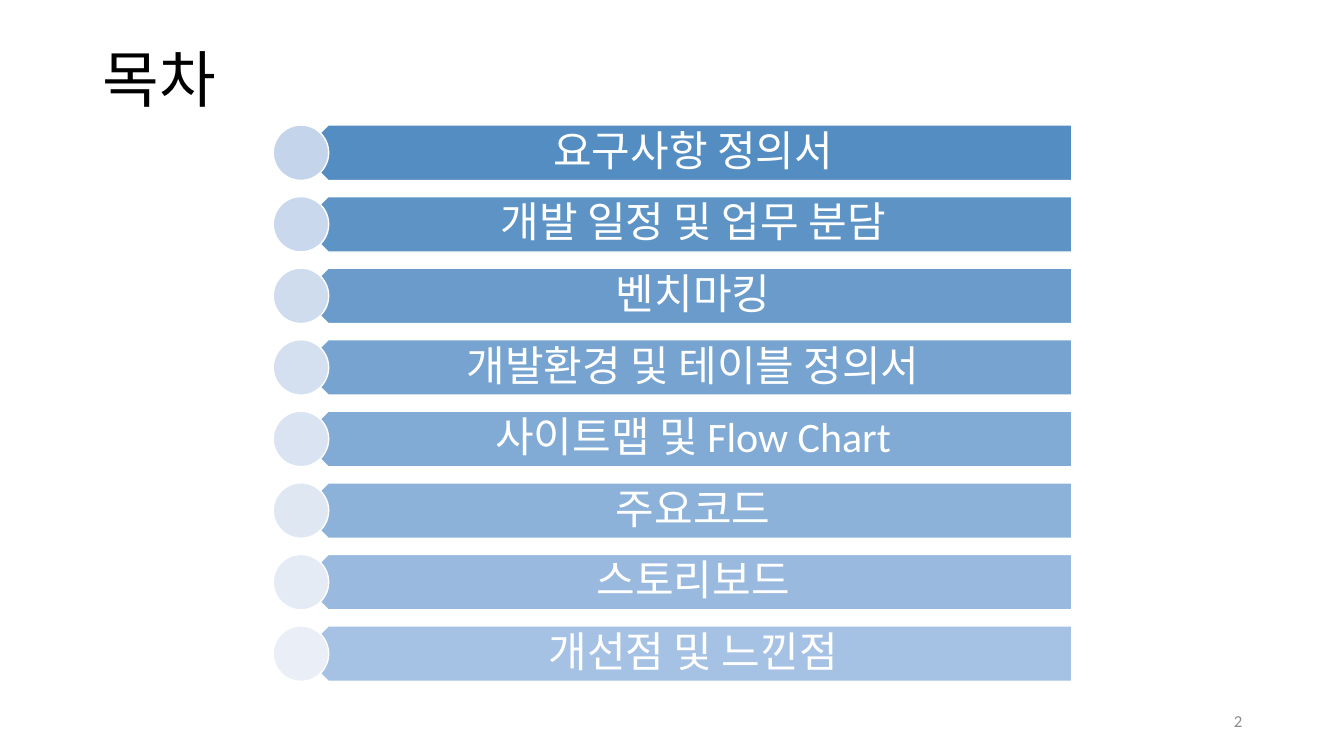
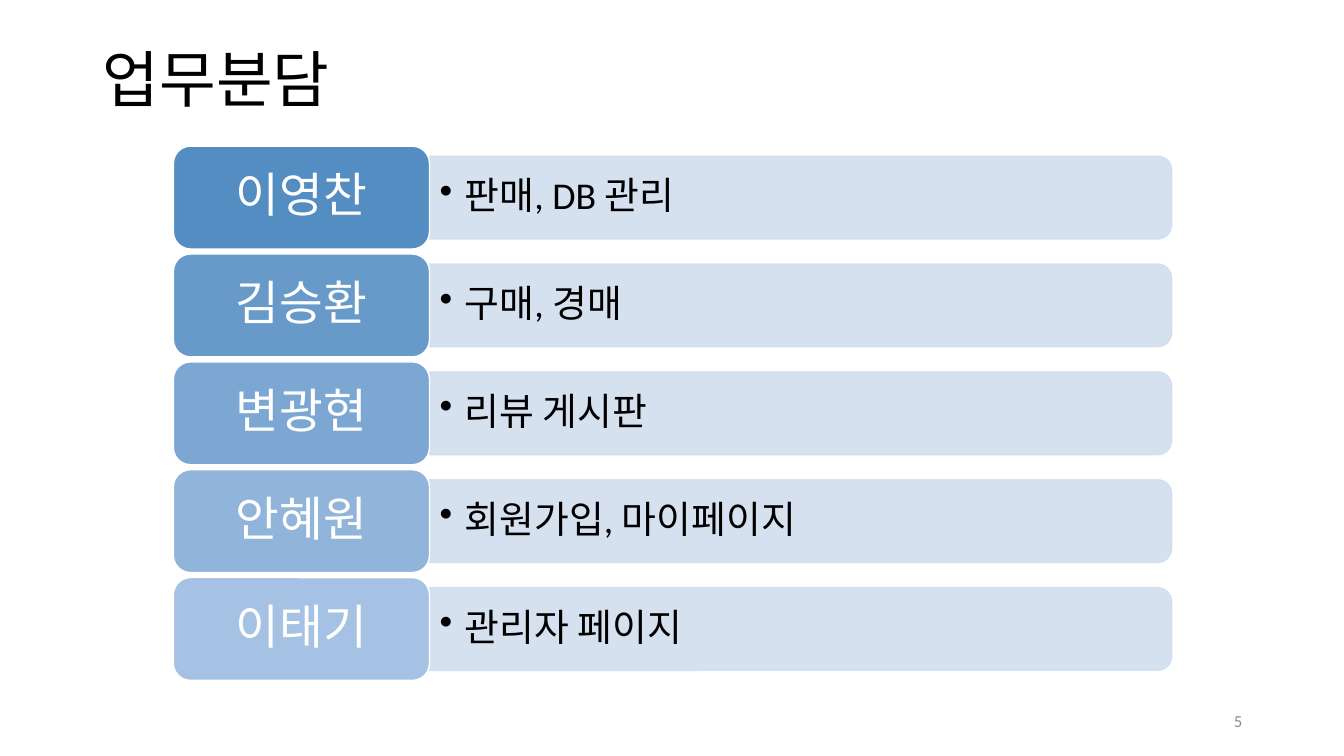
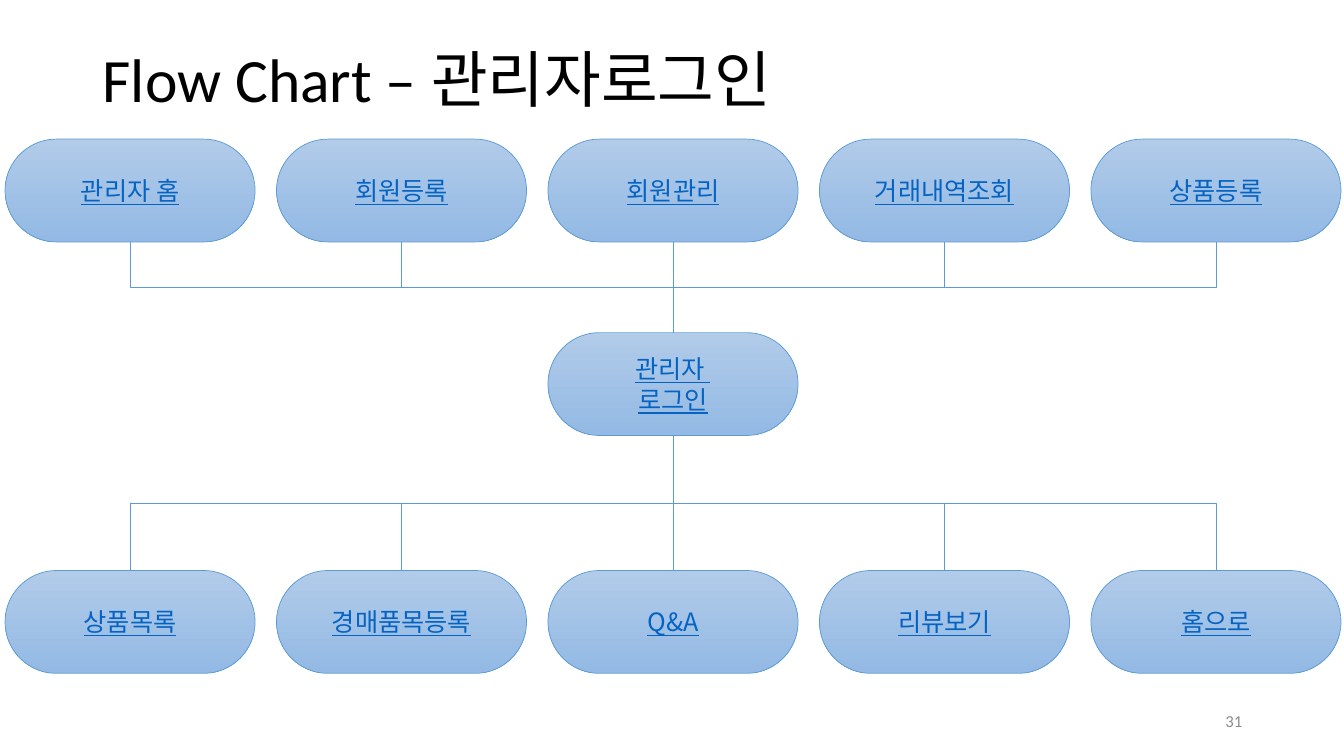
from dataclasses import dataclass

from lxml.etree import SubElement
from pptx import Presentation
from pptx.dml.color import RGBColor
from pptx.enum.shapes import MSO_CONNECTOR as CONN, MSO_SHAPE as SHAPE
from pptx.enum.text import MSO_ANCHOR as ANCHOR, PP_ALIGN as ALIGN
from pptx.oxml.ns import qn
from pptx.util import Inches, Pt


@dataclass(frozen=True)
class Theme:
    latin: str = "Calibri"
    korean: str = "Noto Sans CJK KR"
    black: str = "000000"
    white: str = "FFFFFF"
    gray: str = "8C8C8C"
    accent_range: tuple = ("538DC1", "A5C1E3")
    dot_range: tuple = ("C4D5EB", "EAEFF7")
    pale: str = "D2DEEF"
    node_range: tuple = ("B1CBE9", "93B9E4")
    node_line: str = "5B9BD5"
    link: str = "0563C1"
    title_size: int = 44
    name_size: int = 34
    item_size: int = 30
    task_size: int = 27
    node_size: int = 18
    number_size: int = 12


def shades(ends, count):
    first, last = (RGBColor.from_string(c) for c in ends)
    return [
        str(RGBColor(*(int(a + (b - a) * i / (count - 1)) for a, b in zip(first, last))))
        for i in range(count)
    ]


class Deck:
    def __init__(self, theme):
        self.theme = theme
        self.prs = Presentation()
        self.prs.slide_width, self.prs.slide_height = Inches(13.33), Inches(7.5)
        self.s = None

    def slide(self, title, number):
        t = self.theme
        self.s = self.prs.slides.add_slide(self.prs.slide_layouts[6])
        self.text((0.92, 0.4, 11.5, 0.84), title, t.title_size, t.black, spacing=0.9)
        self.text((9.42, 6.95, 3, 0.4), str(number), t.number_size, t.gray, ALIGN.RIGHT)

    def label(self, sp, text, size, color, align=ALIGN.LEFT, spacing=None,
              insets=(0.1, 0.05), font=None, underline=None, bullet=False):
        tf = sp.text_frame
        tf.word_wrap = True
        tf.vertical_anchor = ANCHOR.MIDDLE
        tf.margin_left = tf.margin_right = Inches(insets[0])
        tf.margin_top = tf.margin_bottom = Inches(insets[1])
        tf.text = text
        for p in tf.paragraphs:
            p.alignment = align
            p.line_spacing = spacing
            if bullet:
                pPr = p._p.get_or_add_pPr()
                pPr.set("marL", str(Inches(0.25)))
                pPr.set("indent", str(-Inches(0.25)))
                SubElement(pPr, qn("a:buChar")).set("char", "•")
            for r in p.runs:
                r.font.size = Pt(size)
                r.font.name = font or self.theme.latin
                r.font.underline = underline
                r.font.color.rgb = RGBColor.from_string(color)
                ea = SubElement(r._r.rPr, qn("a:ea"))
                ea.set("typeface", self.theme.korean)

    def text(self, box, text, size, color, align=ALIGN.LEFT, **style):
        sp = self.s.shapes.add_textbox(*map(Inches, box))
        self.label(sp, text, size, color, align, **style)

    def shape(self, kind, box, fill, line, weight=1, rotation=0, alpha=None):
        sp = self.s.shapes.add_shape(kind, *map(Inches, box))
        sp.shadow.inherit = False
        sp.rotation = rotation
        if isinstance(fill, tuple):
            sp.fill.gradient()
            sp.fill.gradient_angle = 270
            for stop, color in zip(sp.fill.gradient_stops, fill):
                stop.color.rgb = RGBColor.from_string(color)
        else:
            sp.fill.solid()
            sp.fill.fore_color.rgb = RGBColor.from_string(fill)
        sp.line.color.rgb = RGBColor.from_string(line)
        sp.line.width = Pt(weight)
        if alpha:
            for clr in sp._element.spPr.iter(qn("a:srgbClr")):
                SubElement(clr, qn("a:alpha")).set("val", str(alpha * 1000))
        return sp

    def node(self, left, top, text):
        t = self.theme
        sp = self.shape(SHAPE.ROUNDED_RECTANGLE, (left, top, 2.48, 1.02),
                        t.node_range, t.node_line, 0.5)
        sp.adjustments[0] = 0.5
        self.label(sp, text, t.node_size, t.link, ALIGN.CENTER,
                   font=t.korean, underline=True)
        return sp

    def link(self, upper, lower):
        x1, y1 = upper.left + upper.width // 2, upper.top + upper.height
        x2, y2 = lower.left + lower.width // 2, lower.top
        straight = abs(x2 - x1) < Inches(0.02)
        kind = CONN.STRAIGHT if straight else CONN.ELBOW
        cx = self.s.shapes.add_connector(kind, x1, y1, x2, y2)
        cx.begin_connect(upper, 2)
        cx.end_connect(lower, 0)
        spPr = cx._element.spPr
        if not straight:
            run, drop = abs(x2 - x1), y2 - y1
            xfrm = spPr.find(qn("a:xfrm"))
            xfrm.attrib.clear()
            xfrm.set("rot", str(90 * 60000))
            if x2 > x1:
                xfrm.set("flipV", "1")
            cx.left, cx.top = (x1 + x2 - drop) // 2, (y1 + y2 - run) // 2
            cx.width, cx.height = drop, run
        cx.line.color.rgb = RGBColor.from_string(self.theme.node_line)
        cx.line.width = Pt(0.5)
        SubElement(spPr, qn("a:effectLst"))


def contents(deck):
    t = deck.theme
    deck.slide("목차", 2)
    items = ["요구사항 정의서", "개발 일정 및 업무 분담", "벤치마킹",
             "개발환경 및 테이블 정의서", "사이트맵 및 Flow Chart",
             "주요코드", "스토리보드", "개선점 및 느낀점"]
    bars, dots = (shades(ends, len(items)) for ends in (t.accent_range, t.dot_range))
    for i, (item, bar, dot) in enumerate(zip(items, bars, dots)):
        top = 1.24 + 0.71 * i
        deck.shape(SHAPE.PENTAGON, (2.98, top, 7.65, 0.55), bar, t.white, rotation=180)
        deck.text((3.12, top, 7.51, 0.55), item, t.item_size, t.white,
                  ALIGN.CENTER, spacing=0.9, insets=(0.24, 0.12))
        deck.shape(SHAPE.OVAL, (2.71, top, 0.55, 0.55), dot, t.white)


def duties(deck):
    t = deck.theme
    deck.slide("업무분담", 5)
    tasks = [("이영찬", "판매, DB 관리"), ("김승환", "구매, 경매"),
             ("변광현", "리뷰 게시판"), ("안혜원", "회원가입, 마이페이지"),
             ("이태기", "관리자 페이지")]
    colors = shades(t.accent_range, len(tasks))
    for i, ((name, task), color) in enumerate(zip(tasks, colors)):
        top = 1.45 + 1.07 * i
        deck.shape(SHAPE.ROUND_2_SAME_RECTANGLE, (7.53, top - 3.17, 0.82, 7.36),
                   t.pale, t.pale, rotation=90, alpha=90)
        deck.text((4.25, top + 0.14, 7.32, 0.74), task, t.task_size, t.black,
                  spacing=0.9, insets=(0.11, 0.06), bullet=True)
        sp = deck.shape(SHAPE.ROUNDED_RECTANGLE, (1.72, top, 2.54, 1.02), color, t.white)
        deck.label(sp, name, t.name_size, t.white, ALIGN.CENTER,
                   spacing=0.9, insets=(0.14, 0.07))


def admin_flow(deck):
    deck.slide("Flow Chart – 관리자로그인", 31)
    menus = ["관리자 홈", "회원등록", "회원관리", "거래내역조회", "상품등록"]
    pages = ["상품목록", "경매품목등록", "Q&A", "리뷰보기", "홈으로"]
    lefts = [0.05 + (10.82 - 0.05) / 4 * i for i in range(5)]
    login = deck.node(lefts[2], 3.3, "관리자 \n로그인")
    uppers = [deck.node(left, 1.38, menu) for left, menu in zip(lefts, menus)]
    lowers = [deck.node(left, 5.66, page) for left, page in zip(lefts, pages)]
    for upper in uppers:
        deck.link(upper, login)
    for lower in lowers:
        deck.link(login, lower)


def main():
    deck = Deck(Theme())
    contents(deck)
    duties(deck)
    admin_flow(deck)
    deck.prs.save("out.pptx")


if __name__ == "__main__":
    main()
